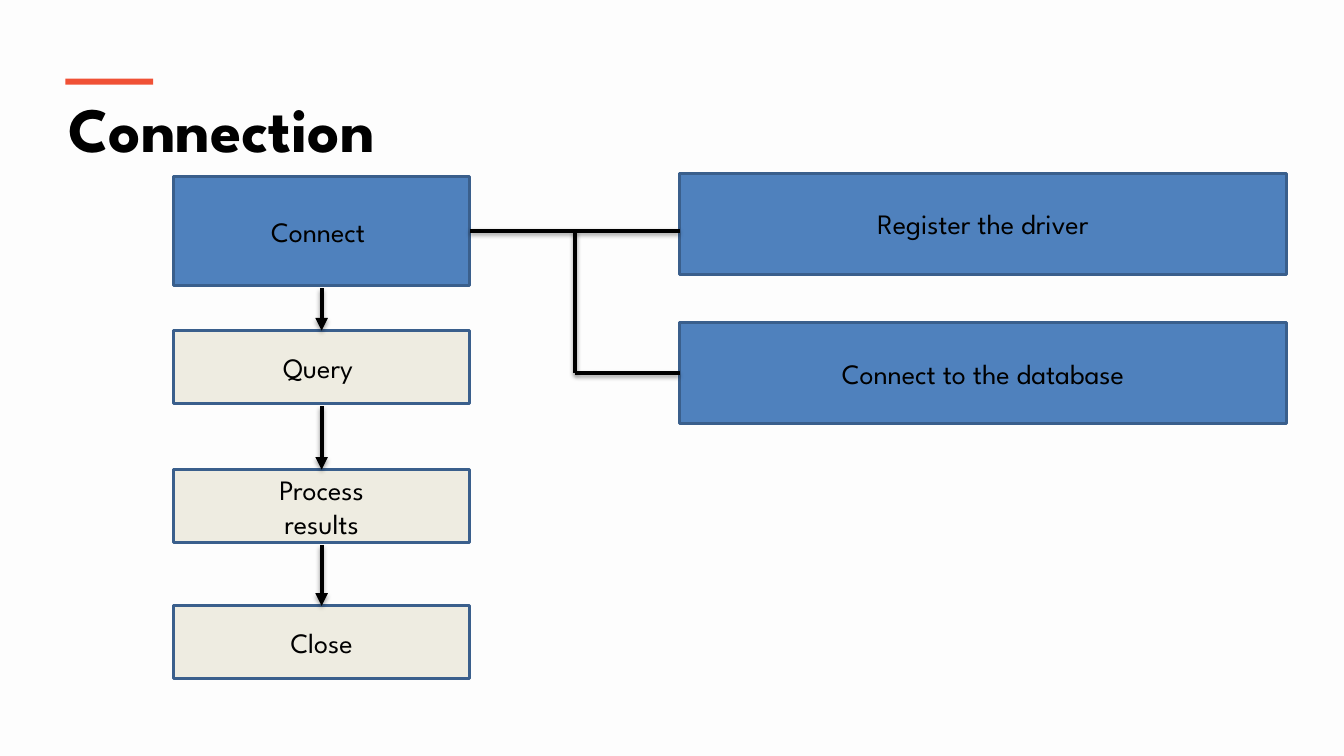
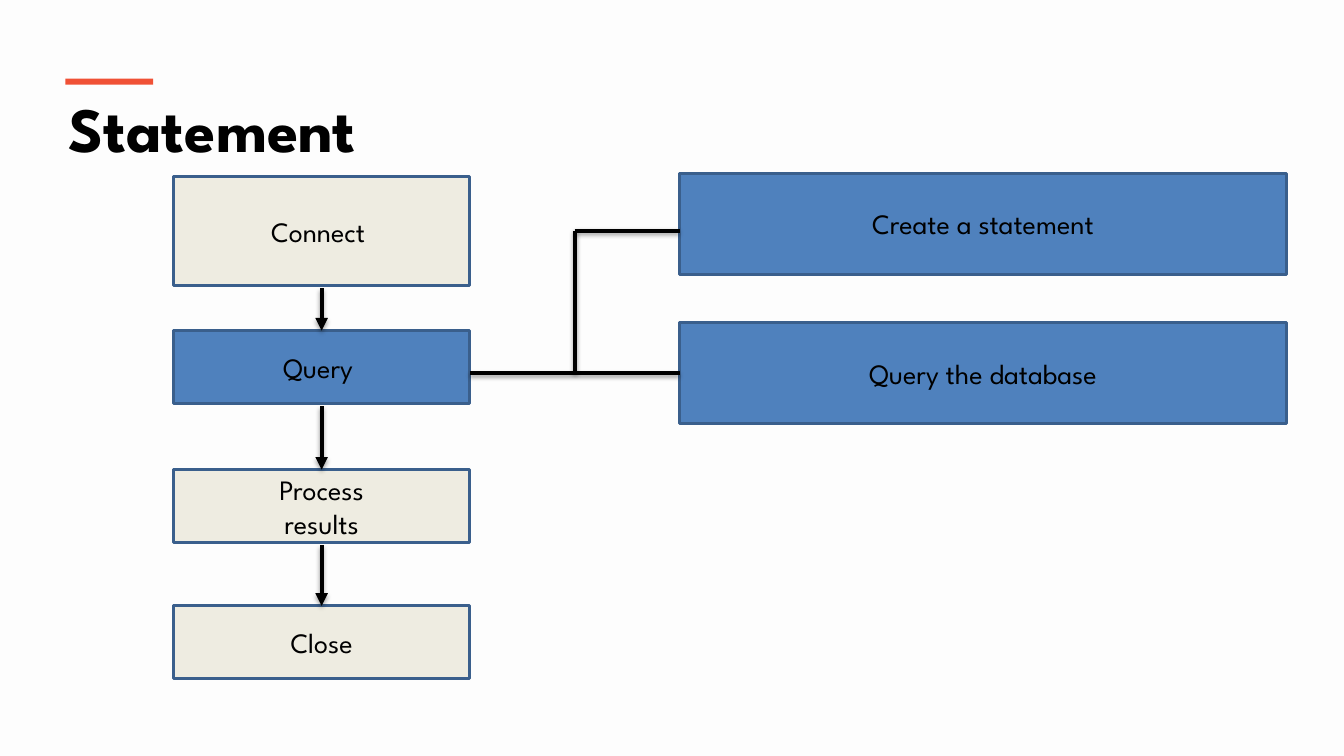
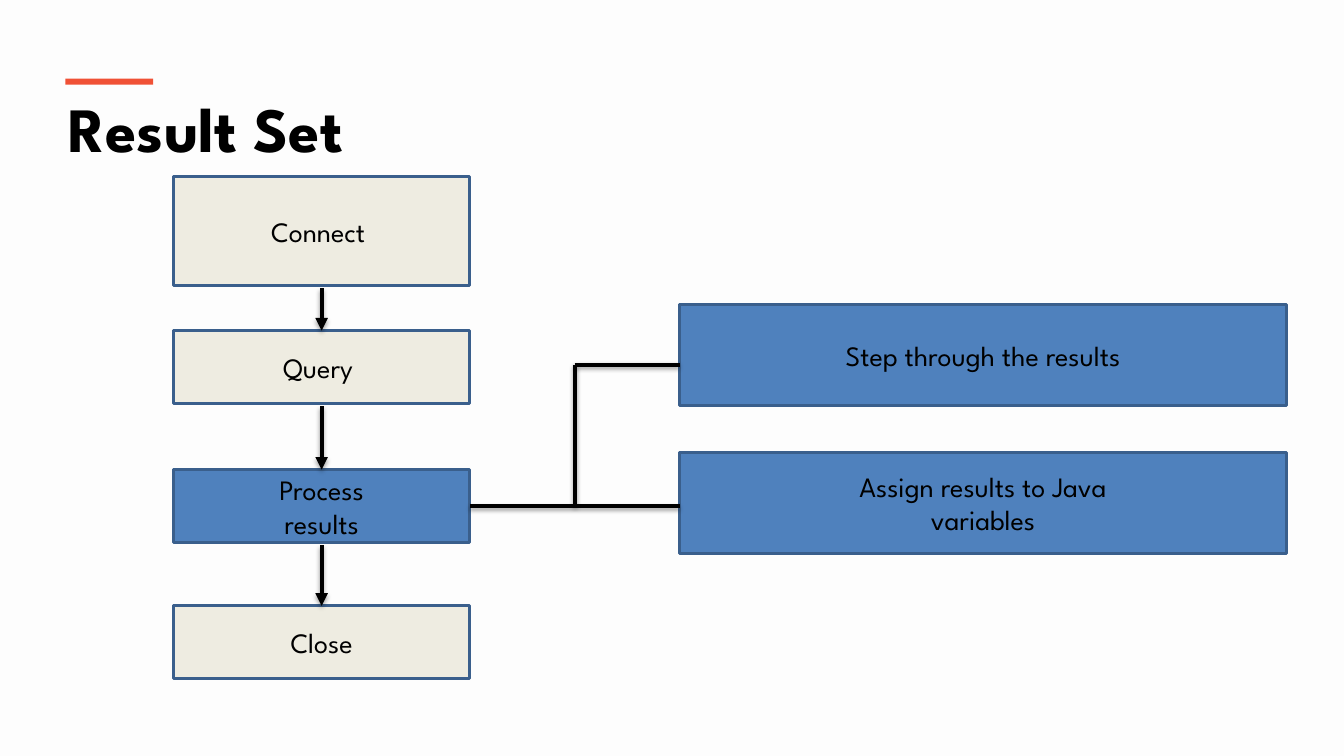
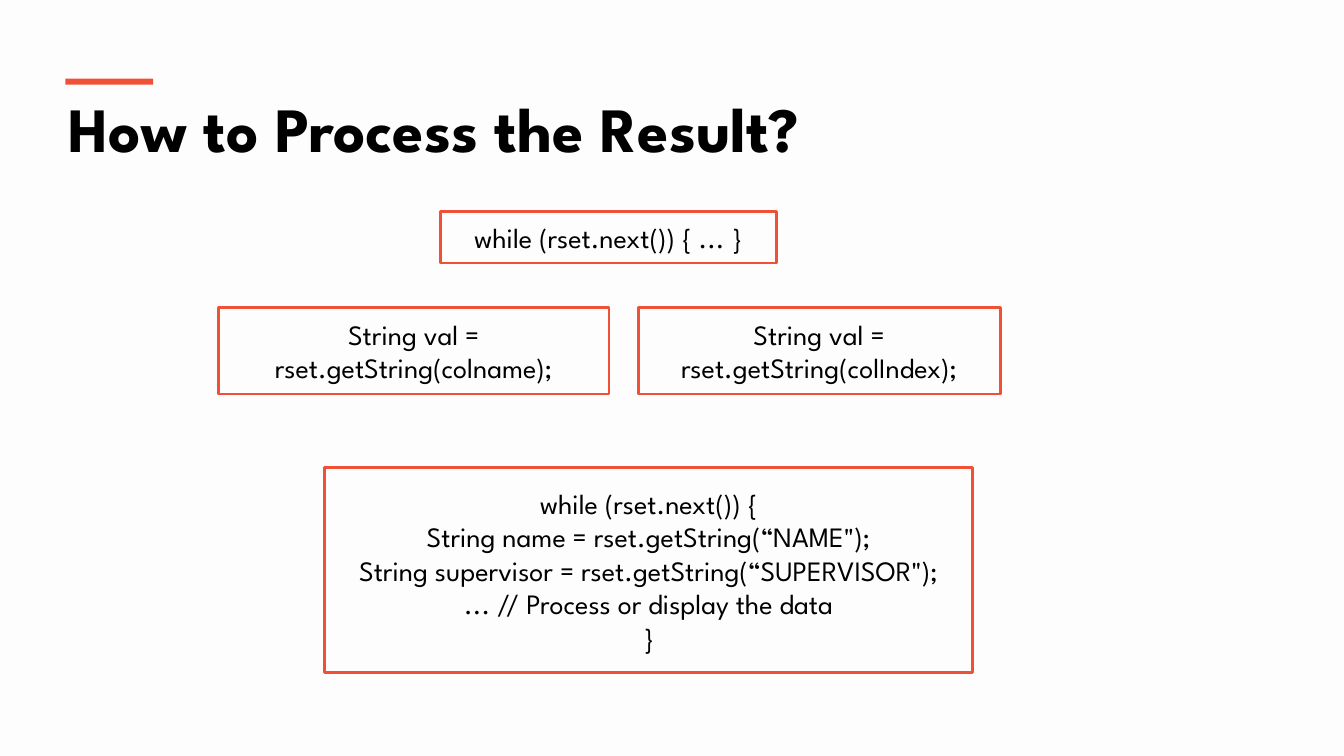
from dataclasses import dataclass
from itertools import pairwise

from lxml.etree import SubElement
from pptx import Presentation
from pptx.dml.color import RGBColor
from pptx.enum.shapes import MSO_CONNECTOR, MSO_SHAPE
from pptx.enum.text import MSO_ANCHOR, MSO_AUTO_SIZE, PP_ALIGN
from pptx.oxml.ns import qn
from pptx.util import Inches, Pt


@dataclass(frozen=True)
class Theme:
    font: str = "League Spartan"
    background: str = "FDFDFD"
    ink: str = "000000"
    accent: str = "F05136"
    active: str = "4F81BD"
    idle: str = "EEECE1"
    outline: str = "3A5F8C"
    title_size: float = 45
    body_size: float = 20
    outline_width: float = 2
    connector_width: float = 3


THEME = Theme()
COLUMN_LEFT, COLUMN_WIDTH = 1.72, 2.94
COLUMN_RIGHT = COLUMN_LEFT + COLUMN_WIDTH
COLUMN_CENTER = COLUMN_LEFT + COLUMN_WIDTH / 2
STEPS = [
    ("Connect ", 1.75, 1.08),
    ("Query ", 3.28, 0.72),
    ("Process\nresults", 4.66, 0.72),
    ("Close", 6.01, 0.72),
]
ARROW_GAP = 0.03
DETAIL_LEFT, DETAIL_WIDTH, DETAIL_HEIGHT = 6.74, 6.02, 1.0
STEM_X = 5.7
JOIN_TOLERANCE = Inches(0.01)

FLOWS = [
    ("Connection", 0, 0, (2.29, 3.7),
     [("Register the driver", 1.72), ("Connect to the database", 3.2)]),
    ("Statement", 1, 1, (2.29, 3.7),
     [("Create a statement", 1.72), ("Query the database", 3.2)]),
    ("Result Set", 2, 1, (3.62, 5.02),
     [("Step through the results", 3.02), ("Assign results to Java\nvariables", 4.49)]),
]

CODE_BOXES = [
    ("while (rset.next()) { ... }", 4.37, 2.1, 3.33, 0.51),
    ("String val =\nrset.getString(colname);", 2.17, 3.05, 3.87, 0.86),
    ("String val =\nrset.getString(colIndex);", 6.33, 3.05, 3.59, 0.86),
    ("while (rset.next()) {\n"
     "String name = rset.getString(“NAME\");\n"
     "String supervisor = rset.getString(“SUPERVISOR\");\n"
     "... // Process or display the data\n"
     "}", 3.22, 4.64, 6.43, 2.03),
]


def color(value):
    return RGBColor.from_string(value)


def write(frame, text, size=THEME.body_size, bold=False, align=PP_ALIGN.CENTER,
          anchor=MSO_ANCHOR.MIDDLE):
    frame.word_wrap = True
    frame.vertical_anchor = anchor
    for index, line in enumerate(text.split("\n")):
        para = frame.add_paragraph() if index else frame.paragraphs[0]
        para.alignment = align
        span = para.add_run()
        span.text = line
        span.font.name = THEME.font
        span.font.size = Pt(size)
        span.font.bold = bold
        span.font.color.rgb = color(THEME.ink)


class SlideBuilder:
    def __init__(self, deck):
        self.deck = deck
        self.page = None
        self.boxes = []

    def start(self, title):
        self.page = self.deck.slides.add_slide(self.deck.slide_layouts[6])
        self.boxes = []
        fill = self.page.background.fill
        fill.solid()
        fill.fore_color.rgb = color(THEME.background)
        heading = self.page.shapes.add_textbox(
            Inches(0.58), Inches(0.84), Inches(12.18), Inches(0.86))
        write(heading.text_frame, title, size=THEME.title_size, bold=True,
              align=PP_ALIGN.LEFT, anchor=MSO_ANCHOR.TOP)
        heading.text_frame.auto_size = MSO_AUTO_SIZE.SHAPE_TO_FIT_TEXT
        self.box("", 0.65, 0.78, 0.87, 0.06, fill=THEME.accent)

    def box(self, text, left, top, width, height, fill=None, outline=None):
        box = self.page.shapes.add_shape(
            MSO_SHAPE.RECTANGLE, Inches(left), Inches(top), Inches(width), Inches(height))
        box.shadow.inherit = False
        if fill:
            box.fill.solid()
            box.fill.fore_color.rgb = color(fill)
        else:
            box.fill.background()
        if outline:
            box.line.color.rgb = color(outline)
            box.line.width = Pt(THEME.outline_width)
        else:
            box.line.fill.background()
        if text:
            write(box.text_frame, text)
        self.boxes.append(box)

    def line(self, start, end, arrow=False):
        start, end = (tuple(Inches(value) for value in point) for point in (start, end))
        line = self.page.shapes.add_connector(MSO_CONNECTOR.STRAIGHT, *start, *end)
        line.line.color.rgb = color(THEME.ink)
        line.line.width = Pt(THEME.connector_width)
        if arrow:
            SubElement(line.line._get_or_add_ln(), qn("a:tailEnd"), type="triangle")
        self.add_shadow(line)
        self.join(start, line.begin_connect)
        self.join(end, line.end_connect)

    def add_shadow(self, line):
        effects = SubElement(line._element.spPr, qn("a:effectLst"))
        shadow = SubElement(effects, qn("a:outerShdw"), blurRad=str(Pt(3.1)),
                            dist=str(Pt(1.8)), dir="5400000", rotWithShape="0")
        tint = SubElement(shadow, qn("a:srgbClr"), val=THEME.ink)
        SubElement(tint, qn("a:alpha"), val="35000")

    def join(self, point, connect):
        for box in self.boxes:
            center = box.left + box.width // 2
            middle = box.top + box.height // 2
            sides = [(center, box.top), (box.left, middle),
                     (center, box.top + box.height), (box.left + box.width, middle)]
            for site, side in enumerate(sides):
                if all(abs(a - b) < JOIN_TOLERANCE for a, b in zip(point, side)):
                    connect(box, site)

    def flow(self, active_step, trunk, levels, details):
        for index, (text, top, height) in enumerate(STEPS):
            fill = THEME.active if index == active_step else THEME.idle
            self.box(text, COLUMN_LEFT, top, COLUMN_WIDTH, height, fill, THEME.outline)
        for text, top in details:
            self.box(text, DETAIL_LEFT, top, DETAIL_WIDTH, DETAIL_HEIGHT,
                     THEME.active, THEME.outline)
        for (_, top, height), (_, next_top, _) in pairwise(STEPS):
            self.line((COLUMN_CENTER, top + height + ARROW_GAP),
                      (COLUMN_CENTER, next_top), arrow=True)
        for index, level in enumerate(levels):
            origin = COLUMN_RIGHT if index == trunk else STEM_X
            self.line((origin, level), (DETAIL_LEFT, level))
        self.line((STEM_X, levels[0]), (STEM_X, levels[1]))


def main():
    deck = Presentation()
    deck.slide_width, deck.slide_height = Inches(13.33), Inches(7.5)
    builder = SlideBuilder(deck)
    for title, *flow in FLOWS:
        builder.start(title)
        builder.flow(*flow)
    builder.start("How to Process the Result?")
    for code_box in CODE_BOXES:
        builder.box(*code_box, outline=THEME.accent)
    deck.save("out.pptx")


if __name__ == "__main__":
    main()
